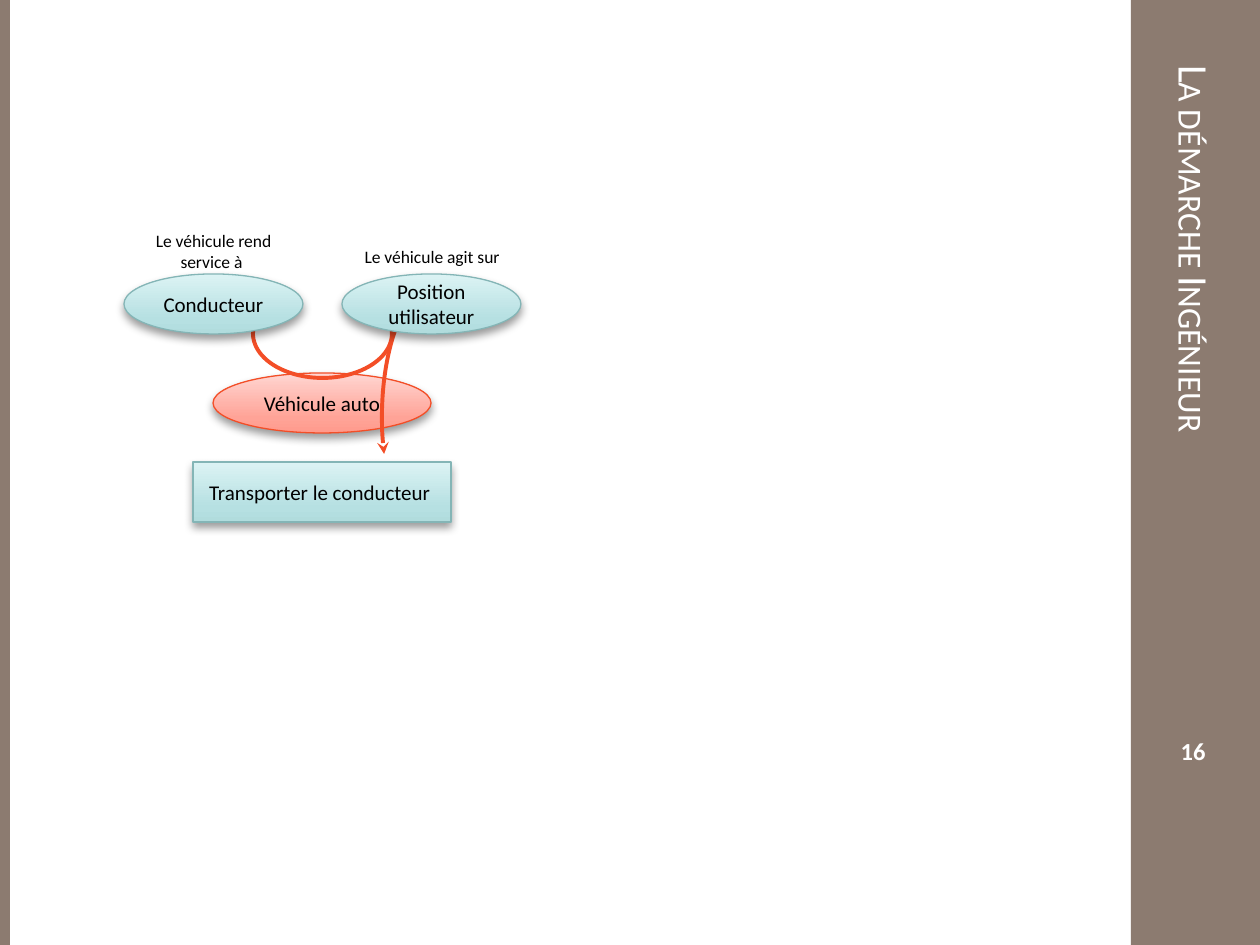
from lxml import etree
from pptx import Presentation
from pptx.dml.color import RGBColor
from pptx.enum.shapes import MSO_SHAPE
from pptx.enum.text import MSO_ANCHOR, PP_ALIGN
from pptx.oxml import parse_xml
from pptx.oxml.ns import nsdecls, qn
from pptx.util import Pt

PX = 914400 / 126
RECT, ELLIPSE, ARC = MSO_SHAPE.RECTANGLE, MSO_SHAPE.OVAL, MSO_SHAPE.ARC
TOP, MIDDLE = MSO_ANCHOR.TOP, MSO_ANCHOR.MIDDLE
LEFT, CENTER = PP_ALIGN.LEFT, PP_ALIGN.CENTER

TAUPE = RGBColor(0x8C, 0x7B, 0x70)
WHITE = RGBColor(0xFF, 0xFF, 0xFF)
BLACK = RGBColor(0, 0, 0)
ORANGE = RGBColor(0xF3, 0x4E, 0x27)
TEAL = RGBColor(0x84, 0xB5, 0xB6)
# Gradient stops from bottom to top, keyed by outline colour
GRADIENTS = {
    ORANGE: ((0, "FF9A8C"), (25, "FFA397"), (100, "FFD6D2")),
    TEAL: ((0, "B1DCDD"), (25, "B6E0E2"), (100, "DCF3F4")),
}

prs = Presentation()
prs.slide_width, prs.slide_height = round(1260 * PX), round(945 * PX)
slide = prs.slides.add_slide(prs.slide_layouts[6])
shapes = slide.shapes


def emu(box):
    return [round(length * PX) for length in box]


def write(shape, text, size, color=BLACK, align=CENTER, anchor=MIDDLE, **font):
    frame = shape.text_frame
    frame.word_wrap = True
    frame.vertical_anchor = anchor
    paragraph = frame.paragraphs[0]
    paragraph.alignment = align
    run = paragraph.add_run()
    run.text = text
    run.font.color.rgb = color
    for key, value in {"name": "Calibri", "size": Pt(size), **font}.items():
        setattr(run.font, key, value)
    return run


# Side bands
for box in ((1131, 0, 129, 945), (0, 0, 10, 945)):
    band = shapes.add_shape(RECT, *emu(box))
    band.shadow.inherit = False
    band.fill.solid()
    band.fill.fore_color.rgb = TAUPE
    band.line.fill.background()

# Vertical title and page number
title = shapes.add_textbox(*emu((1131, 53, 129, 809)))
title_run = write(title, "La démarche Ingénieur", 24, WHITE, LEFT)
title_run.font._element.set("cap", "small")
title.text_frame._txBody.bodyPr.set("vert", "vert")
page_number = shapes.add_textbox(*emu((1126, 731, 134, 39)))
write(page_number, "16", 14, WHITE, bold=True)

# Diagram, from back to front: (kind, box, outline, text or arc angles)
DIAGRAM = (
    (ELLIPSE, (213, 373, 218, 60), ORANGE, "Véhicule auto"),
    (RECT, (193, 462, 258, 60), TEAL, "Transporter le conducteur "),
    (ARC, (253, 289, 139, 89), ORANGE, (344.4, 189.3)),
    (ELLIPSE, (124, 274, 179, 60), TEAL, "Conducteur"),
    (ARC, (382, 282, 113, 270), ORANGE, (292.4, 34.2)),
    (ELLIPSE, (342, 274, 179, 60), TEAL, "Position utilisateur"),
)
for kind, box, outline, content in DIAGRAM:
    part = shapes.add_shape(kind, *emu(box))
    part.shadow.inherit = False
    part.line.color.rgb = outline
    if kind == ARC:
        part.fill.background()
        part.line.width = Pt(2.25)
        for index, degrees in enumerate(content):
            part.adjustments[index] = degrees * 0.6
        arrow_arc = part
        continue
    part.line.width = Pt(0.75)
    part.fill.gradient()
    part.fill.gradient_angle = 90
    stops = part._element.spPr.find(".//" + qn("a:gsLst"))
    stops.clear()
    for position, color in GRADIENTS[outline]:
        stop = etree.SubElement(stops, qn("a:gs"), pos=str(position * 1000))
        etree.SubElement(stop, qn("a:srgbClr"), val=color)
    part._element.spPr.find(qn("a:effectLst")).append(parse_xml(
        f'<a:outerShdw {nsdecls("a")} blurRad="{Pt(5.2)}" dist="{Pt(3)}" '
        'dir="5400000" rotWithShape="0"><a:srgbClr val="000000">'
        '<a:alpha val="40000"/></a:srgbClr></a:outerShdw>'))
    write(part, content, 12)
    if kind == ELLIPSE:
        for side in ("left", "top", "right", "bottom"):
            setattr(part.text_frame, "margin_" + side, 0)

# The last arc is mirrored and ends in an arrowhead
arrow_arc._element.spPr.find(qn("a:xfrm")).set("flipH", "1")
etree.SubElement(arrow_arc.line._get_or_add_ln(), qn("a:tailEnd"), type="stealth")

# Captions above the ellipses
for box, text in (
    ((124, 224, 179, 55), "Le véhicule rend service à "),
    ((323, 240, 218, 34), "Le véhicule agit sur"),
):
    write(shapes.add_textbox(*emu(box)), text, 10, anchor=TOP)

prs.save("out.pptx")
